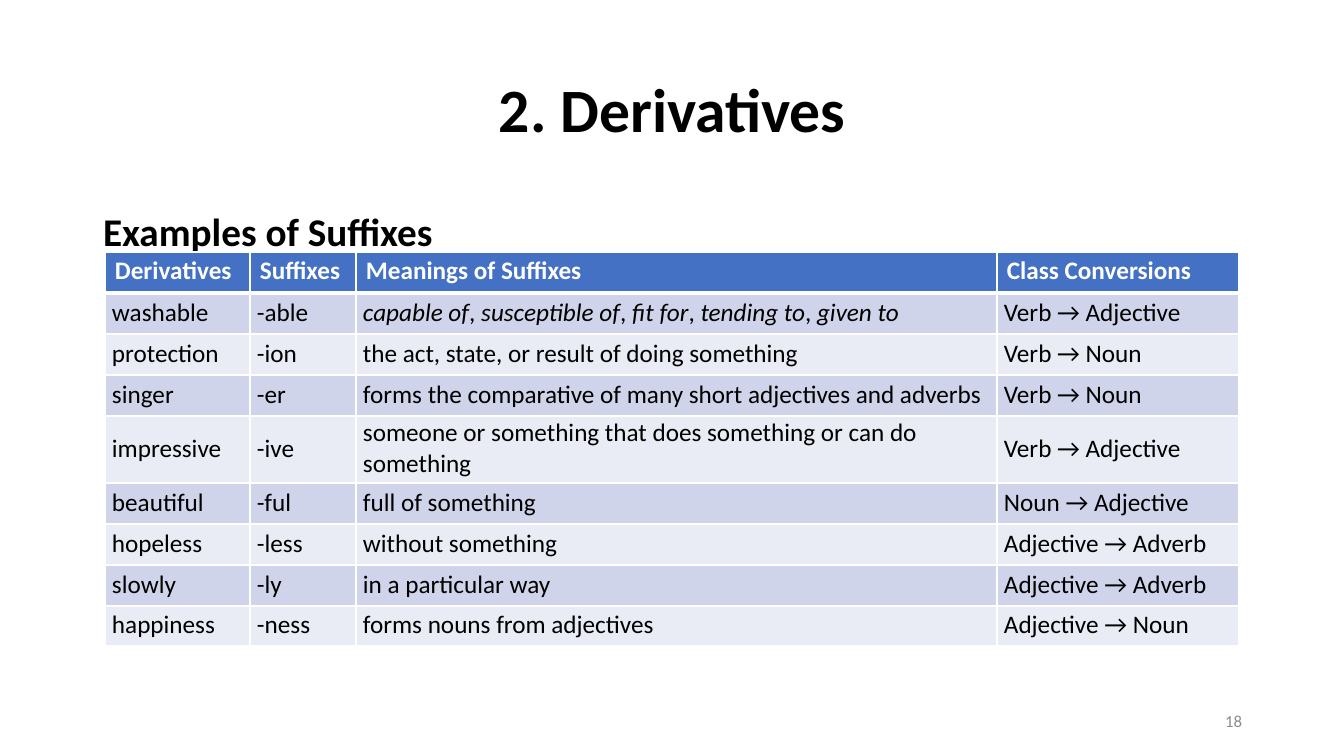
from lxml.etree import SubElement
from pptx import Presentation
from pptx.dml.color import RGBColor
from pptx.enum.text import MSO_ANCHOR, MSO_AUTO_SIZE, PP_ALIGN
from pptx.oxml.ns import qn
from pptx.util import Pt

EMU_PER_INCH = 914400
PX_PER_INCH = 100.8

COLUMN_WIDTHS = [145, 106, 641, 242]
ROW_HEIGHTS = [41, 41, 41, 41, 67, 41, 41, 41, 40]
# Text between asterisks is set in italics.
SUFFIX_ROWS = [
    ["Derivatives", "Suffixes", "Meanings of Suffixes", "Class Conversions"],
    ["washable", "-able",
     "*capable of*, *susceptible of*, *fit for*, *tending to*, *given to*",
     "Verb → Adjective"],
    ["protection", "-ion", "the act, state, or result of doing something",
     "Verb → Noun"],
    ["singer", "-er", "forms the comparative of many short adjectives and adverbs",
     "Verb → Noun"],
    ["impressive", "-ive",
     "someone or something that does something or can do something",
     "Verb → Adjective"],
    ["beautiful", "-ful", "full of something", "Noun → Adjective"],
    ["hopeless", "-less", "without something", "Adjective → Adverb"],
    ["slowly", "-ly", "in a particular way", "Adjective → Adverb"],
    ["happiness", "-ness", "forms nouns from adjectives", "Adjective → Noun"],
]


def px(length):
    return round(length * EMU_PER_INCH / PX_PER_INCH)


def color(hex_string):
    return RGBColor.from_string(hex_string)


class SlideBuilder:
    font = "Calibri"
    black = "000000"
    white = "FFFFFF"
    gray = "8C8C8C"
    header_fill = "4471C4"
    band_fills = ["E9EBF5", "CFD4EA"]

    def __init__(self, deck):
        self.page = deck.slides.add_slide(deck.slide_layouts[1])

    def place(self, shape, left, top, width, height):
        shape.left, shape.top = px(left), px(top)
        shape.width, shape.height = px(width), px(height)

    def add_text(self, para, text, size, hex_string, bold=False):
        """Add the text run by run; parts between asterisks become italic."""
        for index, part in enumerate(text.split("*")):
            if part:
                span = para.add_run()
                span.text = part
                span.font.name = self.font
                span.font.size = Pt(size)
                span.font.bold = bold
                span.font.italic = index % 2 == 1
                span.font.color.rgb = color(hex_string)

    def title(self, text, *bounds):
        box = self.page.shapes.title
        self.place(box, *bounds)
        frame = box.text_frame
        frame.auto_size = MSO_AUTO_SIZE.NONE
        frame.vertical_anchor = MSO_ANCHOR.MIDDLE
        para = frame.paragraphs[0]
        para.alignment = PP_ALIGN.CENTER
        para.line_spacing = 0.9
        self.add_text(para, text, 44, self.black, bold=True)

    def body(self, text, *bounds):
        box = self.page.placeholders[1]
        self.place(box, *bounds)
        box.text_frame.auto_size = MSO_AUTO_SIZE.NONE
        para = box.text_frame.paragraphs[0]
        properties = para._p.get_or_add_pPr()
        properties.set("marL", "0")
        properties.set("indent", "0")
        SubElement(properties, qn("a:buNone"))
        para.space_before = Pt(0)
        self.add_text(para, text, 28, self.black, bold=True)

    def page_number(self, text, *bounds):
        box = self.page.shapes.add_textbox(0, 0, 0, 0)
        self.place(box, *bounds)
        box.text_frame.word_wrap = True
        box.text_frame.vertical_anchor = MSO_ANCHOR.MIDDLE
        para = box.text_frame.paragraphs[0]
        para.alignment = PP_ALIGN.RIGHT
        self.add_text(para, text, 12, self.gray)

    def borders(self, cell, top, bottom):
        properties = cell._tc.get_or_add_tcPr()
        for side, width in (("L", 1), ("R", 1), ("T", top), ("B", bottom)):
            line = SubElement(properties, qn(f"a:ln{side}"), w=str(Pt(width)))
            fill = SubElement(line, qn("a:solidFill"))
            SubElement(fill, qn("a:srgbClr"), val=self.white)

    def table(self, rows, left, top, widths, heights):
        frame = self.page.shapes.add_table(
            len(rows), len(widths), px(left), px(top), px(sum(widths)), px(sum(heights)))
        table = frame.table
        for column, width in zip(table.columns, widths):
            column.width = px(width)
        for row, height in zip(table.rows, heights):
            row.height = px(height)
        for row_index, texts in enumerate(rows):
            for column_index, text in enumerate(texts):
                self.cell(table.cell(row_index, column_index), text, row_index)

    def cell(self, cell, text, row_index):
        header = row_index == 0
        cell.margin_left = px(10 if header else 7)
        cell.margin_right = cell.margin_top = 0
        cell.margin_bottom = px(4 if header else 2)
        cell.vertical_anchor = MSO_ANCHOR.MIDDLE
        self.borders(cell, top=3 if row_index == 1 else 1, bottom=3 if header else 1)
        cell.fill.solid()
        cell.fill.fore_color.rgb = color(
            self.header_fill if header else self.band_fills[row_index % 2])
        self.add_text(cell.text_frame.paragraphs[0], text, 18,
                      self.white if header else self.black, bold=header)


def main():
    deck = Presentation()
    deck.slide_width, deck.slide_height = px(1344), px(756)
    slide = SlideBuilder(deck)
    slide.title("2. Derivatives", 93, 40, 1159, 146)
    slide.body("Examples of Suffixes", 93, 202, 1159, 480)
    slide.table(SUFFIX_ROWS, 105, 252, COLUMN_WIDTHS, ROW_HEIGHTS)
    slide.page_number("18", 950, 701, 302, 40)
    deck.save("out.pptx")


if __name__ == "__main__":
    main()
